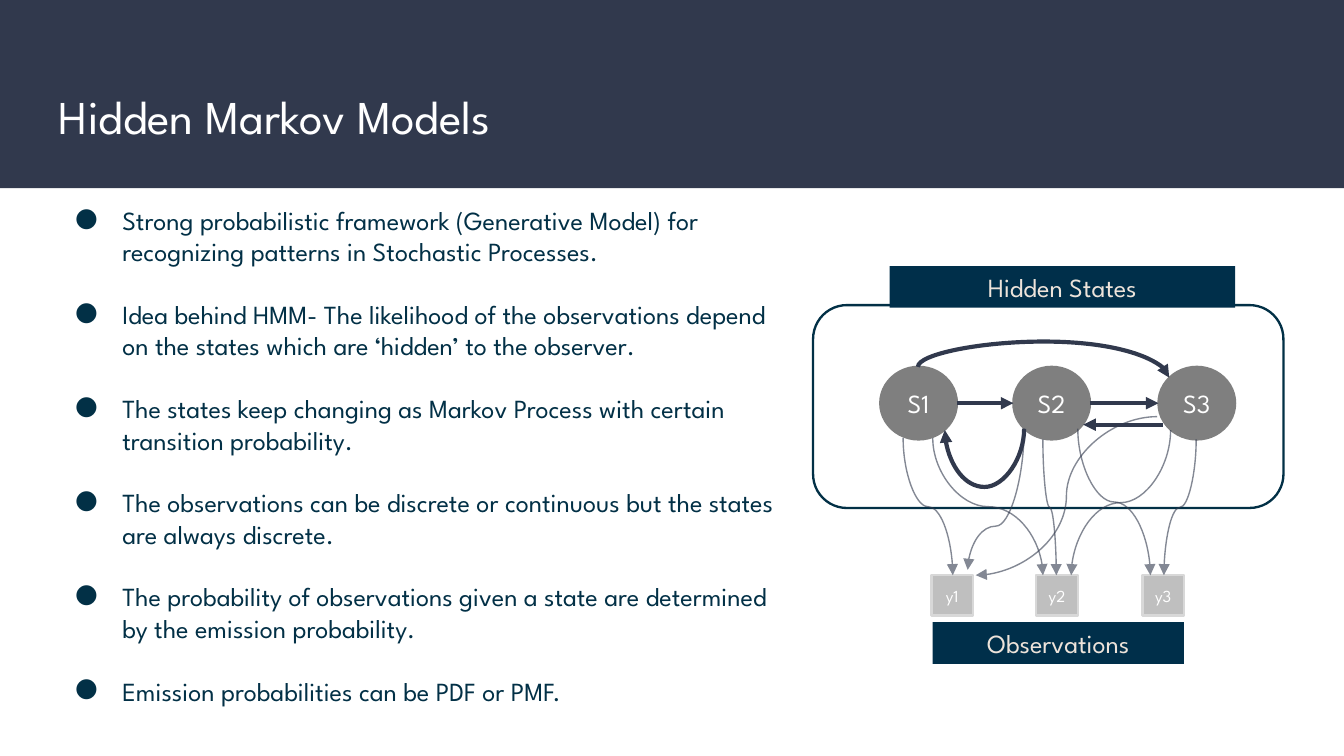
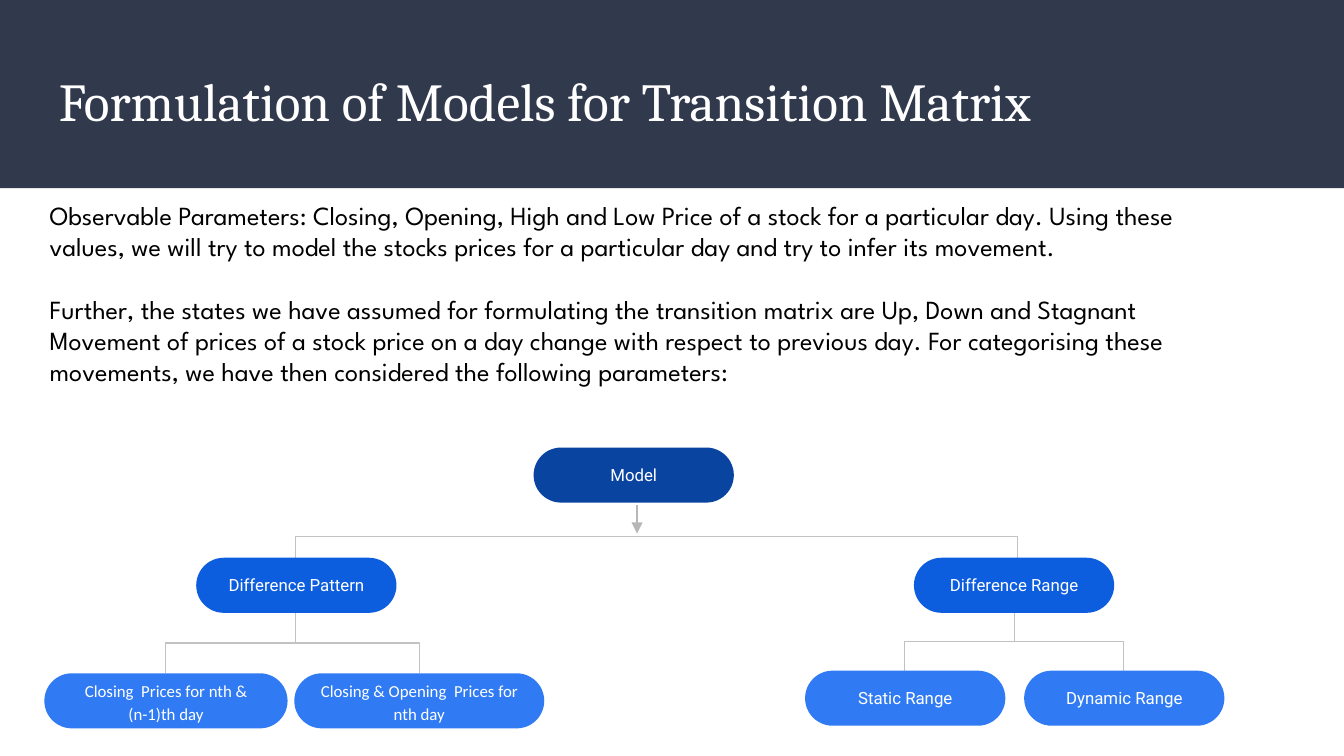
from lxml import etree
from pptx import Presentation
from pptx.dml.color import RGBColor
from pptx.enum.shapes import MSO_CONNECTOR, MSO_SHAPE
from pptx.enum.text import MSO_ANCHOR, PP_ALIGN
from pptx.oxml.ns import qn
from pptx.util import Inches, Pt

RECTANGLE, OVAL = MSO_SHAPE.RECTANGLE, MSO_SHAPE.OVAL
ROUNDED = MSO_SHAPE.ROUNDED_RECTANGLE
STRAIGHT, ELBOW, CURVE = MSO_CONNECTOR.STRAIGHT, MSO_CONNECTOR.ELBOW, MSO_CONNECTOR.CURVE
CENTER, LEFT = PP_ALIGN.CENTER, PP_ALIGN.LEFT
TOP, MIDDLE = MSO_ANCHOR.TOP, MSO_ANCHOR.MIDDLE

# Colours
WHITE = RGBColor(0xFF, 0xFF, 0xFF)
BLACK = RGBColor(0x00, 0x00, 0x00)
SLATE = RGBColor(0x31, 0x39, 0x4D)
NAVY = RGBColor(0x02, 0x30, 0x46)
LABEL_NAVY = RGBColor(0x00, 0x2F, 0x4A)
CREAM = RGBColor(0xED, 0xE3, 0xDA)
STATE_GRAY = RGBColor(0x7F, 0x7F, 0x7F)
OBSERVATION_GRAY = RGBColor(0xBF, 0xBF, 0xBF)
OBSERVATION_EDGE = RGBColor(0xD8, 0xD8, 0xD8)
BRANCH_GRAY = RGBColor(0xC2, 0xC2, 0xC2)
ARROW_GRAY = RGBColor(0xB7, 0xB7, 0xB7)
ROOT_BLUE = RGBColor(0x09, 0x44, 0xA1)
BRANCH_BLUE = RGBColor(0x0D, 0x5D, 0xDF)
LEAF_BLUE = RGBColor(0x30, 0x7B, 0xF3)

# Text
SPARTAN = "League Spartan"
BODY_SIZE = 14
PARAGRAPH_GAP = Pt(16.8)
NARROW_INSETS = (0.07, 0.04)
WIDE_INSETS = (0.1, 0.1)

HMM_POINTS = [
    "Strong probabilistic framework (Generative Model) for recognizing patterns in Stochastic Processes.",
    "Idea behind HMM- The likelihood of the observations depend on the states which are ‘hidden’ to the observer.",
    "The states keep changing as Markov Process with certain transition probability.",
    "The observations can be discrete or continuous but the states are always discrete.",
    "The probability of observations given a state are determined by the emission probability.",
    "Emission probabilities can be PDF or PMF.",
]
MODEL_NOTES = [
    "Observable Parameters: Closing, Opening, High and Low Price of a stock for a particular day. "
    "Using these values, we will try to model the stocks prices for a particular day and try to infer its movement.",
    "Further, the states we have assumed for formulating the transition matrix are Up, Down and Stagnant "
    "Movement of prices of a stock price on a day change with respect to previous day. "
    "For categorising these movements, we have then considered the following parameters:",
]


def add_bullet(paragraph, color, font):
    properties = paragraph._p.get_or_add_pPr()
    properties.set("marL", str(Inches(0.5)))
    properties.set("indent", str(Inches(-0.35)))
    bullet_color = etree.SubElement(properties, qn("a:buClr"))
    etree.SubElement(bullet_color, qn("a:srgbClr"), val=str(color))
    etree.SubElement(properties, qn("a:buFont"), typeface=font)
    etree.SubElement(properties, qn("a:buChar"), char="●")


def write_text(shape, paragraphs, size, color, font=SPARTAN, align=LEFT, anchor=TOP,
               insets=NARROW_INSETS, gap=0, spacing=None, bullets=False):
    frame = shape.text_frame
    horizontal, vertical = map(Inches, insets)
    frame_format = {"word_wrap": True, "vertical_anchor": anchor,
                    "margin_left": horizontal, "margin_right": horizontal,
                    "margin_top": vertical, "margin_bottom": vertical}
    for name, value in frame_format.items():
        setattr(frame, name, value)
    for index, text in enumerate(paragraphs):
        paragraph = frame.paragraphs[0] if index == 0 else frame.add_paragraph()
        paragraph.alignment = align
        if spacing:
            paragraph.line_spacing = spacing
        if index < len(paragraphs) - 1:
            paragraph.space_after = gap
        if bullets:
            add_bullet(paragraph, color, font)
        run = paragraph.add_run()
        run.text = text
        for name, value in {"name": font, "size": Pt(size)}.items():
            setattr(run.font, name, value)
        run.font.color.rgb = color


def add_text(slide, box, paragraphs, size, color, **text_format):
    shape = slide.shapes.add_textbox(*map(Inches, box))
    write_text(shape, paragraphs, size, color, **text_format)


def add_box(slide, kind, box, fill=None, edge=None, corner=None):
    shape = slide.shapes.add_shape(kind, *map(Inches, box))
    shape.shadow.inherit = False
    if corner is not None:
        shape.adjustments[0] = corner
    if fill is None:
        shape.fill.background()
    else:
        shape.fill.solid()
        shape.fill.fore_color.rgb = fill
    if edge is None:
        shape.line.fill.background()
    else:
        shape.line.color.rgb = edge
        shape.line.width = Pt(1.25)
    return shape


def add_line(slide, start, end, color, width, kind=STRAIGHT, arrow=True, alpha=None):
    line = slide.shapes.add_connector(kind, *map(Inches, (*start, *end)))
    line.line.color.rgb = color
    line.line.width = Pt(width)
    properties = line.element.find(qn("p:spPr"))
    outline = properties.find(qn("a:ln"))
    if alpha is not None:
        shade = outline.find(".//" + qn("a:srgbClr"))
        etree.SubElement(shade, qn("a:alpha"), val=str(alpha * 1000))
    if arrow:
        etree.SubElement(outline, qn("a:tailEnd"), type="triangle")
    etree.SubElement(properties, qn("a:effectLst"))
    return line


def add_drop(slide, start, end, color, width, kind=CURVE, bend=0.5, **line_format):
    """Connector that leaves and arrives vertically; bend is the turn's share of the height."""
    (x1, y1), (x2, y2) = start, end
    center_x, center_y = (x1 + x2) / 2, (y1 + y2) / 2
    half_width, half_height = (y2 - y1) / 2, abs(x2 - x1) / 2
    # The unrotated box is mirrored when the connector runs to the right
    side = 1 if x2 > x1 else -1
    line = add_line(slide,
                    (center_x + side * half_width, center_y - half_height),
                    (center_x - side * half_width, center_y + half_height),
                    color, width, kind, **line_format)
    properties = line.element.find(qn("p:spPr"))
    quarter_turns = 3 if side > 0 else 1
    properties.find(qn("a:xfrm")).set("rot", str(quarter_turns * 5400000))
    geometry = properties.find(qn("a:prstGeom"))
    guides = geometry.find(qn("a:avLst"))
    if guides is None:
        guides = etree.SubElement(geometry, qn("a:avLst"))
    etree.SubElement(guides, qn("a:gd"), name="adj1", fmla=f"val {round(bend * 100000)}")


def add_slide(presentation):
    slide = presentation.slides.add_slide(presentation.slide_layouts[6])
    add_box(slide, RECTANGLE, (0, 0, 10, 1.4), SLATE)
    return slide


def add_title(slide, text, top, size, font):
    add_text(slide, (0.34, top, 9.32, 0.68), [text], size, WHITE, font=font, insets=WIDE_INSETS)


def add_label(slide, box, text):
    label = add_box(slide, RECTANGLE, box, LABEL_NAVY)
    write_text(label, [text], BODY_SIZE, CREAM, align=CENTER)


def add_pill(slide, box, text, fill, font="Roboto", spacing=None):
    pill = add_box(slide, ROUNDED, box, fill, corner=0.5)
    write_text(pill, [text], 9, WHITE, font=font, align=CENTER, anchor=MIDDLE,
               insets=WIDE_INSETS, spacing=spacing)


def build_hidden_markov(presentation):
    slide = add_slide(presentation)

    # States and observations
    for number, left in enumerate((6.55, 7.54, 8.62), 1):
        state = add_box(slide, OVAL, (left, 2.73, 0.57, 0.54), STATE_GRAY, STATE_GRAY)
        write_text(state, [f"S{number}"], 14, WHITE, align=CENTER, anchor=MIDDLE)
    add_box(slide, ROUNDED, (6.05, 2.27, 3.5, 1.51), edge=NAVY, corner=0.167)
    for number, left in enumerate((6.93, 7.71, 8.5), 1):
        observation = add_box(slide, RECTANGLE, (left, 4.28, 0.31, 0.3),
                              OBSERVATION_GRAY, OBSERVATION_EDGE)
        write_text(observation, [f"y{number}"], 9, WHITE, align=CENTER, anchor=MIDDLE)

    # Emissions
    emissions = [
        ((6.72, 3.26), (7.09, 4.28), 0.5),
        ((7.76, 3.27), (7.86, 4.28), 0.5),
        ((8.9, 3.27), (8.66, 4.28), 0.5),
        ((6.94, 3.26), (7.76, 4.28), 0.5),
        ((7.62, 3.19), (7.2, 4.24), 0.69),
        ((8.02, 3.19), (8.56, 4.28), 0.5),
        ((8.71, 3.2), (7.97, 4.28), 0.5),
    ]
    for start, end, bend in emissions:
        add_drop(slide, start, end, SLATE, 0.75, bend=bend, alpha=60)
    add_line(slide, (8.61, 3.1), (7.26, 4.28), SLATE, 0.75, CURVE, alpha=60)

    # Transitions
    for start, end in (((7.12, 3), (7.54, 3)), ((8.11, 3), (8.62, 3)),
                       ((8.65, 3.16), (8.06, 3.16))):
        add_line(slide, start, end, SLATE, 2.25)
    add_drop(slide, (6.83, 2.73), (8.7, 2.81), SLATE, 2.25, bend=-2.36)
    add_drop(slide, (7.62, 3.19), (7.03, 3.2), SLATE, 2.25, bend=44)

    # Labels and text
    add_label(slide, (6.62, 1.98, 2.57, 0.31), "Hidden States")
    add_label(slide, (6.94, 4.63, 1.87, 0.31), "Observations")
    add_text(slide, (0.34, 1.48, 5.56, 4.08), HMM_POINTS, BODY_SIZE, NAVY,
             gap=PARAGRAPH_GAP, bullets=True)
    add_title(slide, "Hidden Markov Models", 0.55, 25.2, SPARTAN)


def build_transition_models(presentation):
    slide = add_slide(presentation)
    add_title(slide, "Formulation of Models for Transition Matrix", 0.41, 28.6, "Cambria")
    add_text(slide, (0.27, 1.38, 8.89, 2.09), MODEL_NOTES, BODY_SIZE, BLACK,
             insets=WIDE_INSETS, gap=PARAGRAPH_GAP)

    # Branches: parent point, child point, height share of the turn
    branches = [
        ((4.89, 3.99), (2.2, 4.15), 0),
        ((4.89, 3.99), (7.57, 4.15), 0),
        ((2.2, 4.56), (1.23, 5.01), 0.5),
        ((2.2, 4.56), (3.12, 5.01), 0.5),
        ((7.55, 4.56), (6.73, 4.99), 0.5),
        ((7.55, 4.56), (8.36, 4.99), 0.5),
    ]
    for parent, child, bend in branches:
        add_drop(slide, parent, child, BRANCH_GRAY, 0.75, ELBOW, bend, arrow=False)
    add_line(slide, (4.74, 3.76), (4.74, 3.97), ARROW_GRAY, 0.75)

    # Model tree
    for left, top, text, fill in (
            (3.97, 3.33, "Model", ROOT_BLUE),
            (1.46, 4.15, "Difference Pattern", BRANCH_BLUE),
            (6.8, 4.15, "Difference Range", BRANCH_BLUE),
            (5.99, 4.99, "Static Range", LEAF_BLUE),
            (7.62, 4.99, "Dynamic Range", LEAF_BLUE)):
        add_pill(slide, (left, top, 1.49, 0.41), text, fill)
    for left, width, text in ((0.33, 1.81, "Closing  Prices for nth & (n-1)th day"),
                              (2.19, 1.86, "Closing & Opening  Prices for nth day")):
        add_pill(slide, (left, 5.01, width, 0.41), text, LEAF_BLUE, "Calibri", 1.15)


def main():
    presentation = Presentation()
    presentation.slide_width = Inches(10)
    # Widescreen, 16 to 9
    presentation.slide_height = Inches(10) * 9 // 16
    build_hidden_markov(presentation)
    build_transition_models(presentation)
    presentation.save("out.pptx")


if __name__ == "__main__":
    main()
